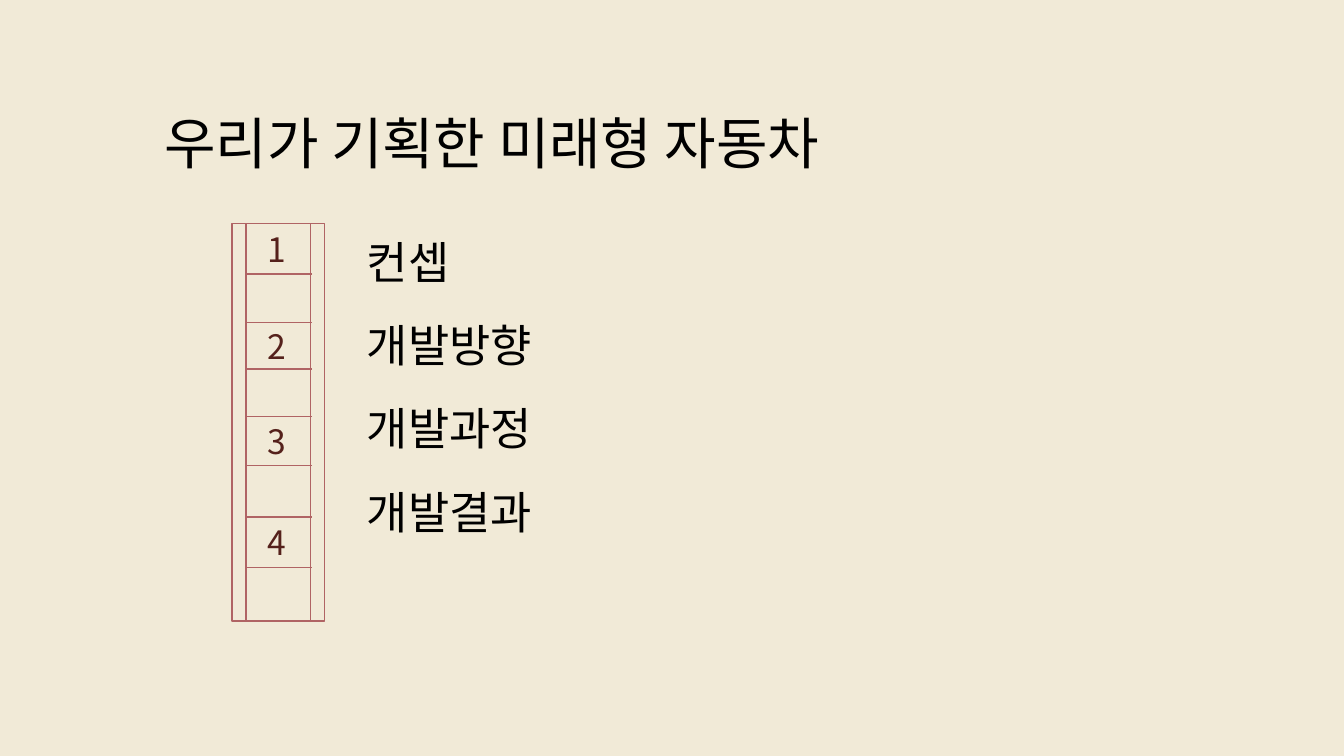
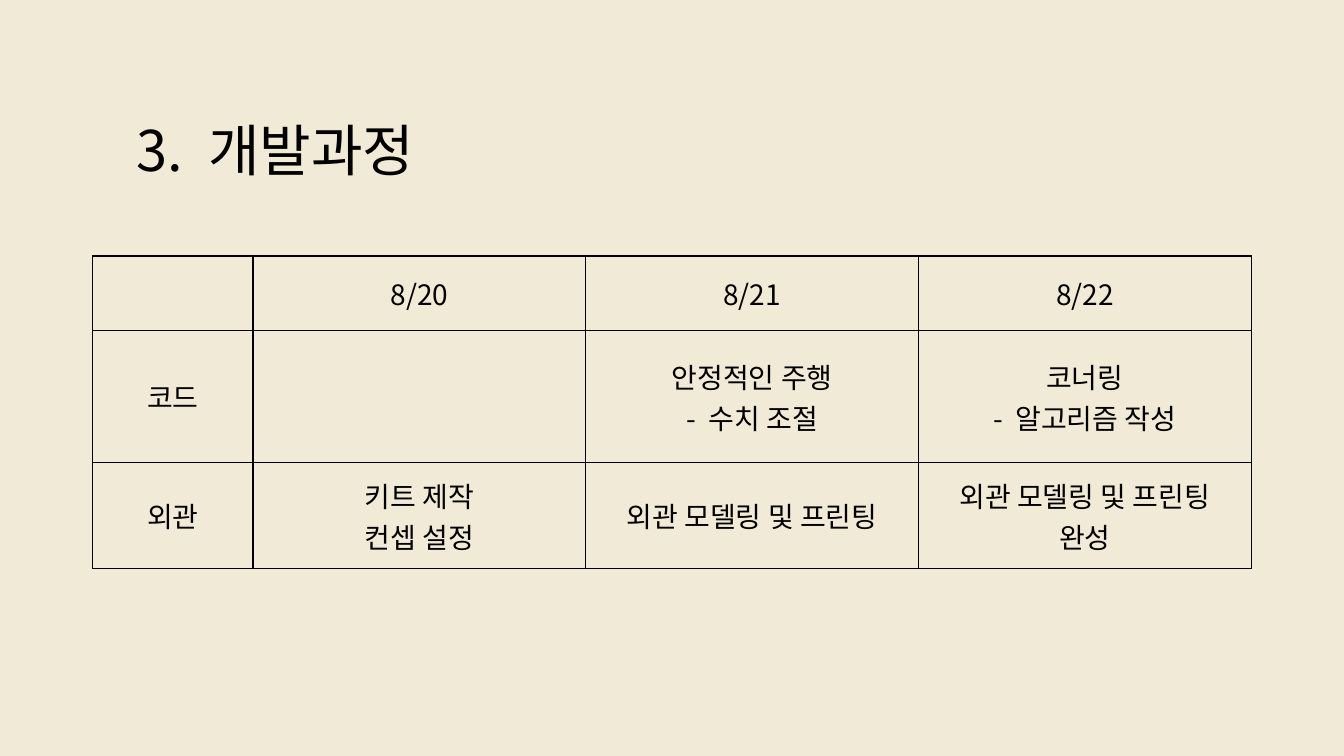
import dataclasses
import pptx
import pptx.util
import pptx.dml.color
import pptx.enum.shapes
import pptx.enum.text
import pptx.oxml.ns
from lxml import etree

Inches, Pt = pptx.util.Inches, pptx.util.Pt
CENTER = pptx.enum.text.PP_ALIGN.CENTER
MIDDLE = pptx.enum.text.MSO_ANCHOR.MIDDLE
TOP = pptx.enum.text.MSO_ANCHOR.TOP


@dataclasses.dataclass(frozen=True)
class Theme:
    font: str = "Noto Sans CJK KR"
    background: str = "F1EAD7"
    ink: str = "000000"
    ladder: str = "B06464"
    number: str = "55211B"
    title_size: int = 40
    body_size: int = 32
    number_size: int = 24
    cell_size: int = 20
    line_width: float = 1
    space_share: float = 0.22  # width of a space as a share of the type size


THEME = Theme()
SLIDE_SIZE = (13.33, 7.5)
TITLE_SIZE = (11.5, 1.45)

# A tuple is a marker and its text, set apart by a double-width space.
AGENDA_TITLE = "우리가 기획한 미래형 자동차"
AGENDA = ["컨셉", "개발방향", "개발과정", "개발결과"]
PROCESS_TITLE = ("3.", "개발과정")
SCHEDULE = [
    [[], ["8/20"], ["8/21"], ["8/22"]],
    [["코드"], [], ["안정적인 주행", ("-", "수치 조절")], ["코너링", ("-", "알고리즘 작성")]],
    [["외관"], ["키트 제작", "컨셉 설정"], ["외관 모델링 및 프린팅"], ["외관 모델링 및 프린팅", "완성"]],
]
COLUMN_WIDTHS = [1.59] + [3.3] * 3
ROW_HEIGHTS = [0.74, 1.31, 1.05]

RAIL_LEFTS = (2.3, 2.44)
RAIL_WIDTH = 0.78
RUNG_LEFT, RUNG_RIGHT = 2.44, 3.09
LADDER_TOP = 2.22
RUNGS = [2.72, 3.2, 3.66, 4.13, 4.62, 5.13, 5.63, 6.16]


def color(value):
    return pptx.dml.color.RGBColor.from_string(value)


def add_child(parent, tag, **attributes):
    child = etree.SubElement(parent, pptx.oxml.ns.qn(tag))
    for name, value in attributes.items():
        child.set(name, str(value))
    return child


def add_run(paragraph, text, size, ink):
    run = paragraph.add_run()
    run.text = text
    run.font.size = Pt(size)
    run.font.color.rgb = color(ink)
    run.font.name = THEME.font
    properties = run._r.get_or_add_rPr()
    add_child(properties, "a:ea", typeface=THEME.font)
    return properties


def fill_text(frame, lines, size, ink=THEME.ink, align=None, gap=0):
    """Write one paragraph per line, with gap points between paragraphs."""
    for index, line in enumerate(lines):
        paragraph = frame.add_paragraph() if index else frame.paragraphs[0]
        paragraph.alignment = align
        if index and gap:
            paragraph.space_before = Pt(gap)
        if isinstance(line, str):
            add_run(paragraph, line, size, ink)
            continue
        marker, text = line
        add_run(paragraph, marker, size, ink)
        space = add_run(paragraph, " ", size, ink)
        space.set("spc", str(round(size * THEME.space_share * 100)))
        add_run(paragraph, text, size, ink)


def add_text(slide, box, lines, size, anchor=TOP, margins=True, **style):
    shape = slide.shapes.add_textbox(*map(Inches, box))
    frame = shape.text_frame
    frame.word_wrap = True
    frame.vertical_anchor = anchor
    if not margins:
        frame.margin_left = frame.margin_right = 0
        frame.margin_top = frame.margin_bottom = 0
    fill_text(frame, lines, size, **style)
    return frame


def add_slide(presentation, title, left, top):
    slide = presentation.slides.add_slide(presentation.slide_layouts[6])
    slide.background.fill.solid()
    slide.background.fill.fore_color.rgb = color(THEME.background)
    frame = add_text(slide, (left, top, *TITLE_SIZE), [title], THEME.title_size, MIDDLE)
    frame.paragraphs[0].line_spacing = 0.9
    return slide


def style_ladder_line(line):
    line.color.rgb = color(THEME.ladder)
    line.width = Pt(THEME.line_width)


def outline_text(properties):
    """Give a run a thin, mostly transparent outline in the number colour."""
    line = add_child(properties, "a:ln", w=Pt(0.75))
    fill = add_child(add_child(line, "a:solidFill"), "a:srgbClr", val=THEME.number)
    add_child(fill, "a:alpha", val=30000)
    properties.insert(0, line)


def add_ladder(slide):
    height = RUNGS[-1] - LADDER_TOP
    for left in RAIL_LEFTS:
        rail = slide.shapes.add_shape(
            pptx.enum.shapes.MSO_SHAPE.RECTANGLE,
            *map(Inches, (left, LADDER_TOP, RAIL_WIDTH, height)))
        rail.shadow.inherit = False
        rail.fill.background()
        style_ladder_line(rail.line)
    for y in RUNGS:
        rung = slide.shapes.add_connector(
            pptx.enum.shapes.MSO_CONNECTOR.STRAIGHT,
            *map(Inches, (RUNG_LEFT, y, RUNG_RIGHT, y)))
        style_ladder_line(rung.line)
        add_child(rung.element.spPr, "a:effectLst")
    edges = [LADDER_TOP] + RUNGS
    numbered_steps = zip(edges[0::2], edges[1::2])
    for number, (top, bottom) in enumerate(numbered_steps, start=1):
        box = (RUNG_LEFT - 0.02, top, RUNG_RIGHT - RUNG_LEFT, bottom - top)
        frame = add_text(slide, box, [str(number)], THEME.number_size, MIDDLE,
                         margins=False, ink=THEME.number, align=CENTER)
        outline_text(frame.paragraphs[0].runs[0]._r.get_or_add_rPr())


def add_borders(cell):
    properties = cell._tc.get_or_add_tcPr()
    for position, side in enumerate("LRTB"):
        border = add_child(properties, "a:ln" + side, w=Pt(THEME.line_width))
        add_child(add_child(border, "a:solidFill"), "a:srgbClr", val=THEME.ink)
        properties.insert(position, border)


def add_schedule(slide, left, top):
    frame = slide.shapes.add_table(
        len(SCHEDULE), len(COLUMN_WIDTHS),
        *map(Inches, (left, top, sum(COLUMN_WIDTHS), sum(ROW_HEIGHTS))))
    table = frame.table
    table.first_row = table.horz_banding = False
    for column, width in zip(table.columns, COLUMN_WIDTHS):
        column.width = Inches(width)
    for row, height, contents in zip(table.rows, ROW_HEIGHTS, SCHEDULE):
        row.height = Inches(height)
        for cell, lines in zip(row.cells, contents):
            cell.fill.background()
            cell.vertical_anchor = MIDDLE
            add_borders(cell)
            fill_text(cell.text_frame, lines, THEME.cell_size, align=CENTER)


def main():
    presentation = pptx.Presentation()
    presentation.slide_width, presentation.slide_height = map(Inches, SLIDE_SIZE)

    agenda = add_slide(presentation, AGENDA_TITLE, 1.53, 0.73)
    add_text(agenda, (3.54, 2.28, 6.76, 4.57), AGENDA, THEME.body_size, gap=21)
    add_ladder(agenda)

    process = add_slide(presentation, PROCESS_TITLE, 1.26, 0.8)
    add_schedule(process, 0.92, 2.54)

    presentation.save("out.pptx")


if __name__ == "__main__":
    main()
